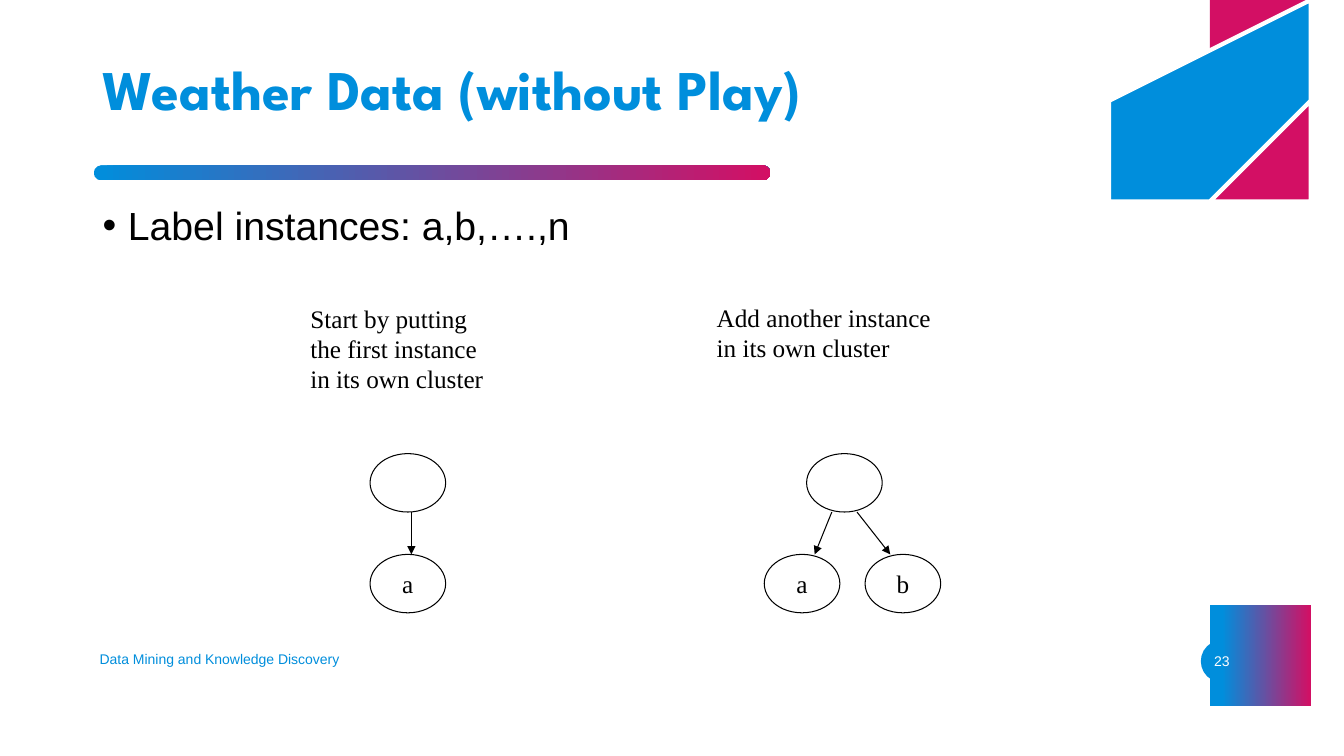
"""Build the slide on clustering the weather data."""
from pptx import Presentation
from pptx import util as u
from pptx.dml import color
from pptx.enum import shapes, text
from pptx.oxml import parse_xml, ns

HUES = {"blue": "008EDC", "pink": "D30F64", "white": "FFFFFF", "black": "000000"}
RGB = {name: color.RGBColor.from_string(code) for name, code in HUES.items()}
NS = ns.nsdecls("a")
KIND = shapes.MSO_SHAPE

deck = Presentation()
deck.slide_width, deck.slide_height = u.Inches(13.33), u.Inches(7.5)
slide = deck.slides.add_slide(deck.slide_layouts[6])
items = slide.shapes


def paint(shape, fill=None, line=None, width=0.75):
    """Set fill and line; a list of stops makes a gradient."""
    shape.shadow.inherit = False
    if isinstance(fill, list):
        shape.fill.gradient()
        shape.fill.gradient_angle = 0
        for stop, (hue, place) in zip(shape.fill.gradient_stops, fill):
            stop.color.rgb, stop.position = RGB[hue], place
    elif fill:
        shape.fill.solid()
        shape.fill.fore_color.rgb = RGB[fill]
    else:
        shape.fill.background()
    if line:
        shape.line.color.rgb, shape.line.width = RGB[line], u.Pt(width)
    else:
        shape.line.fill.background()


def write(shape, words, size, font, hue="black", align="LEFT", anchor="MIDDLE", wrap=True):
    """Put styled text in a shape and return its frame."""
    frame = shape.text_frame
    frame.text = words
    frame.word_wrap = wrap
    frame.vertical_anchor = text.MSO_ANCHOR[anchor]
    for para in frame.paragraphs:
        para.alignment = text.PP_ALIGN[align]
        for run in para.runs:
            run.font.size, run.font.name = u.Pt(size), font
            run.font.color.rgb = RGB[hue]
    return frame


dot = items.add_shape(KIND.OVAL, u.Inches(11.91), u.Inches(6.35), u.Inches(0.42), u.Inches(0.42))
paint(dot, "blue")
rule = items.add_shape(KIND.ROUNDED_RECTANGLE, u.Inches(0.93), u.Inches(1.64), u.Inches(6.71), u.Inches(0.15))
rule.adjustments[0] = 0.5
paint(rule, [("blue", 0), ("pink", 1)])

# Pairs are corners; sixes are two control points and an end point.
curves = [
    ([(13.33, 6.77), (12.62, 6.77), (12.41, 6.77, 12.41, 6.56, 12.41, 6.56), (12.41, 6.55),
      (12.41, 6.34, 12.62, 6.34, 12.62, 6.34), (13.33, 6.34)],
     [("blue", 0.12), ("pink", 1)], None),
    ([(11.88, 0.56), (11.88, 0.56, 11.97, 0.76, 12.17, 0.9), (13.33, 0.34), (13.33, 0),
      (11.76, 0), (11.74, 0.15, 11.76, 0.33, 11.86, 0.53)], "pink", None),
    ([(13.37, 1.25), (12.27, 1.78), (12.27, 1.78, 12.13, 1.85, 12.2, 1.97), (12.2, 1.98),
      (12.2, 1.98, 12.26, 2.11, 12.4, 2.04), (13.37, 1.57)], "pink", "white"),
    ([(13.37, 0.34), (11.21, 1.39), (11.21, 1.39, 10.85, 1.57, 11.01, 1.89), (11.01, 1.9),
      (11.01, 1.9, 11.17, 2.22, 11.54, 2.04), (13.37, 1.15)], "blue", "white"),
]
for steps, fill, edge in curves:
    dots = [steps[0]]
    for step in steps[1:]:
        if len(step) == 2:
            dots.append(step)
            continue
        ends = [dots[-1], step[:2], step[2:4], step[4:]]
        for part in range(1, 17):
            t = part / 16
            mix = [(1 - t) ** 3, 3 * t * (1 - t) ** 2, 3 * t * t * (1 - t), t ** 3]
            dots.append(tuple(sum(m * e[axis] for m, e in zip(mix, ends)) for axis in (0, 1)))
    path = items.build_freeform(*dots[0], scale=u.Inches(1))
    path.add_line_segments(dots[1:], close=True)
    paint(path.convert_to_shape(), fill, edge, 3)

title = items.add_textbox(u.Inches(0.92), u.Inches(0.4), u.Inches(9.9), u.Inches(1.03))
head = write(title, "Weather Data (without Play)", 40, "League Spartan", "blue").paragraphs[0]
head.line_spacing = 0.9
head.runs[0].font.bold = True

body = items.add_textbox(u.Inches(0.92), u.Inches(2), u.Inches(11.5), u.Inches(4.76))
point = write(body, "Label instances: a,b,….,n", 28, "Arial", anchor="TOP").paragraphs[0]
point.line_spacing, point.space_before = 0.9, u.Pt(10)
props = point._p.get_or_add_pPr()
props.set("marL", str(u.Inches(0.25)))
props.set("indent", str(-u.Inches(0.25)))
props.append(parse_xml(f'<a:buFont {NS} typeface="Arial"/>'))
props.append(parse_xml(f'<a:buChar {NS} char="•"/>'))

foot = items.add_textbox(u.Inches(0.89), u.Inches(6.34), u.Inches(4.5), u.Inches(0.4))
write(foot, "Data Mining and Knowledge Discovery", 10, "Arial", "blue")
page = items.add_textbox(u.Inches(11.82), u.Inches(6.36), u.Inches(0.6), u.Inches(0.4))
write(page, "23", 10, "Arial", "white", "CENTER")

notes = [
    (2.98, 2.96, 1.93, 1.01, "Start by putting\nthe first instance\nin its own cluster"),
    (7.01, 2.95, 2.35, 0.71, "Add another instance\nin its own cluster"),
]
for left, top, wide, high, words in notes:
    note = items.add_textbox(u.Inches(left), u.Inches(top), u.Inches(wide), u.Inches(high))
    write(note, words, 18, "Times New Roman", anchor="TOP", wrap=False)

nodes = [(3.67, 4.5, ""), (3.67, 5.5, "a"), (8, 4.5, ""), (7.58, 5.5, "a"), (8.58, 5.5, "b")]
for left, top, name in nodes:
    node = items.add_shape(KIND.OVAL, u.Inches(left), u.Inches(top), u.Inches(0.75), u.Inches(0.58))
    paint(node, line="black")
    if name:
        write(node, name, 18, "Times New Roman", align="CENTER", wrap=False)

for start, end in [(4.08, 4.08), (8.25, 8.08), (8.5, 8.83)]:
    arrow = items.add_connector(shapes.MSO_CONNECTOR.STRAIGHT, u.Inches(start), u.Inches(5.08),
                                u.Inches(end), u.Inches(5.5))
    arrow.line.color.rgb, arrow.line.width = RGB["black"], u.Pt(0.75)
    arrow.line._get_or_add_ln().append(parse_xml(f'<a:tailEnd {NS} type="triangle"/>'))
    arrow._element.spPr.append(parse_xml(f"<a:effectLst {NS}/>"))

deck.save("out.pptx")
